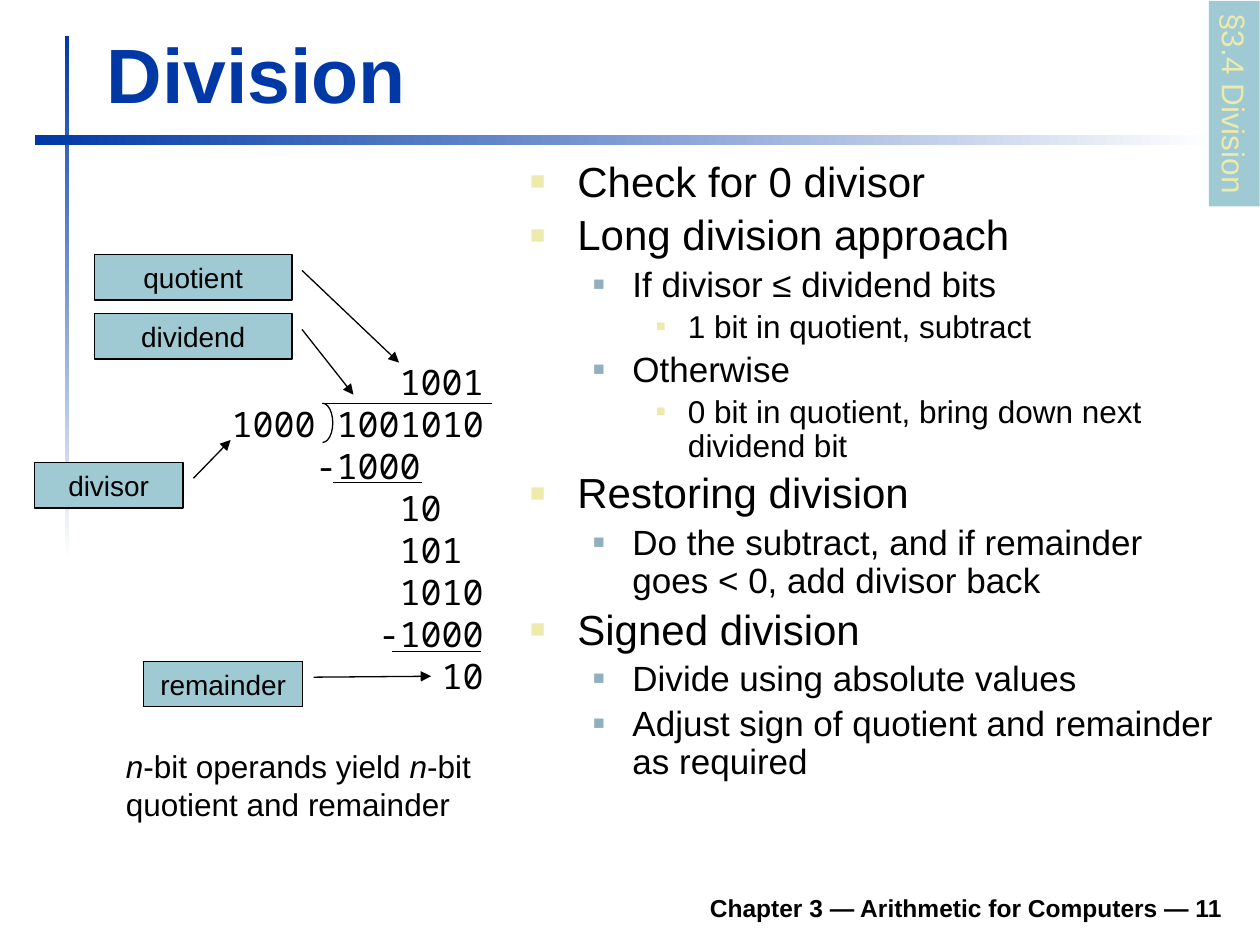
from lxml import etree
from pptx import Presentation
from pptx.dml.color import RGBColor
from pptx.enum.shapes import MSO_CONNECTOR, MSO_SHAPE
from pptx.enum.text import MSO_ANCHOR, MSO_AUTO_SIZE, PP_ALIGN
from pptx.oxml.ns import qn
from pptx.util import Cm, Pt

RECT, ARC, CALLOUT = MSO_SHAPE.RECTANGLE, MSO_SHAPE.ARC, MSO_SHAPE.LINE_CALLOUT_1
STRAIGHT = MSO_CONNECTOR.STRAIGHT
TOP, BOTTOM = MSO_ANCHOR.TOP, MSO_ANCHOR.BOTTOM
LEFT, CENTER, RIGHT = PP_ALIGN.LEFT, PP_ALIGN.CENTER, PP_ALIGN.RIGHT
GROW = MSO_AUTO_SIZE.SHAPE_TO_FIT_TEXT

COLORS = {"blue": "0039A6", "white": "FFFFFF", "black": "000000",
          "teal": "9FCAD3", "cream": "ECEAAC", "steel": "91AFBF"}

# Per outline level: text size, left margin, hanging indent, bullet colour, bullet %
LEVELS = [(24, 0.95, 0.95, "cream", 60),
          (20, 2.06, 0.79, "steel", 55),
          (18, 3.18, 0.64, "cream", 50)]

OUTLINE = [
    (0, "Check for 0 divisor"),
    (0, "Long division approach"),
    (1, "If divisor ≤ dividend bits"),
    (2, "1 bit in quotient, subtract"),
    (1, "Otherwise"),
    (2, "0 bit in quotient, bring down next dividend bit"),
    (0, "Restoring division"),
    (1, "Do the subtract, and if remainder goes < 0, add divisor back"),
    (0, "Signed division"),
    (1, "Divide using absolute values"),
    (1, "Adjust sign of quotient and remainder as required"),
]

# Column of the first digit, then the digits
LONG_DIVISION = [(8, "1001"), (0, "1000 1001010"), (4, "-1000"), (8, "10"),
                 (8, "101"), (8, "1010"), (7, "-1000"), (10, "10")]
DIGIT_SIZE = 20
DIGIT_WIDTH = Pt(0.6 * DIGIT_SIZE)

# Text, left, top, width, pointer (start y, start x, end y, end x as box fractions)
CALLOUTS = [
    ("quotient", 1.9, 5.13, 3.99, (0.35, 1.05, 2.37, 1.54)),
    ("dividend", 1.9, 6.32, 3.99, (0.35, 1.05, 1.78, 1.31)),
    ("remainder", 2.9, 13.33, 3.2, (0.35, 1.07, 0.33, 1.81)),
    ("divisor", 0.69, 9.32, 3, (0.35, 1.07, -0.49, 1.32)),
]

# Left, right, height on the slide
RULES = [(6.5, 9.91, 8.13), (6.71, 8.51, 9.73), (7.9, 9.7, 13.13)]


def rgb(name):
    return RGBColor.from_string(COLORS[name])


class SlideBuilder:
    font = "Arial"
    line_width = Pt(0.75)

    def __init__(self, slide):
        self.shapes = slide.shapes

    def shape(self, kind, box, fill=None):
        shape = self.shapes.add_shape(kind, *map(Cm, box))
        shape.shadow.inherit = False
        if fill:
            shape.fill.solid()
            shape.fill.fore_color.rgb = rgb(fill)
        else:
            shape.fill.background()
        shape.line.fill.background()
        return shape

    def outline(self, item):
        item.line.color.rgb = rgb("black")
        item.line.width = self.line_width

    def fading_bar(self, box, angle):
        fill = self.shape(RECT, box).fill
        fill.gradient()
        fill.gradient_angle = angle
        for stop, color in zip(fill.gradient_stops, ("blue", "white")):
            stop.color.rgb = rgb(color)

    def rule(self, left, right, y):
        line = self.shapes.add_connector(STRAIGHT, Cm(left), Cm(y), Cm(right), Cm(y))
        self.outline(line)
        etree.SubElement(line._element.spPr, qn("a:effectLst"))

    def division_bracket(self, box):
        """Right half of an ellipse, from its top to its bottom."""
        bracket = self.shape(ARC, box)
        bracket.adjustments[0], bracket.adjustments[1] = 162, 54
        self.outline(bracket)

    def callout(self, text, left, top, width, pointer):
        box = self.shape(CALLOUT, (left, top, width, 0.92), "teal")
        for index, fraction in enumerate(pointer):
            box.adjustments[index] = fraction
        self.outline(box)
        etree.SubElement(box.line._get_or_add_ln(), qn("a:tailEnd"), type="triangle")
        box.text_frame.vertical_anchor = TOP
        self.run(self.paragraph(box.text_frame, CENTER), text, 16)

    def frame(self, box, anchor=TOP, wrap=True):
        frame = self.shapes.add_textbox(*map(Cm, box)).text_frame
        frame.word_wrap = wrap
        frame.vertical_anchor = anchor
        if not wrap:
            frame.auto_size = GROW
        return frame

    def paragraph(self, frame, align=LEFT):
        first = frame.paragraphs[0]
        paragraph = frame.add_paragraph() if first.runs else first
        paragraph.alignment = align
        return paragraph

    def run(self, paragraph, text, size, color="black", bold=False, italic=False, font=None):
        run = paragraph.add_run()
        run.text = text
        run.font.name = font or self.font
        run.font.size = Pt(size)
        run.font.bold, run.font.italic = bold, italic
        run.font.color.rgb = rgb(color)

    def bullet(self, frame, level, text):
        size, margin, hanging, color, percent = LEVELS[level]
        paragraph = self.paragraph(frame)
        paragraph.level = level
        paragraph.line_spacing = 0.9
        paragraph.space_before = Pt(0.2 * size)
        props = paragraph._p.get_or_add_pPr()
        props.set("marL", str(Cm(margin)))
        props.set("indent", str(-Cm(hanging)))
        bullet_color = etree.SubElement(props, qn("a:buClr"))
        etree.SubElement(bullet_color, qn("a:srgbClr"), val=COLORS[color])
        etree.SubElement(props, qn("a:buSzPct"), val=str(percent * 1000))
        etree.SubElement(props, qn("a:buFont"), typeface=self.font)
        etree.SubElement(props, qn("a:buChar"), char="■")
        self.run(paragraph, text, size)

    def digits(self, frame, column, text):
        paragraph = self.paragraph(frame)
        paragraph._p.get_or_add_pPr().set("marL", str(column * DIGIT_WIDTH))
        self.run(paragraph, text, DIGIT_SIZE, font="Noto Sans Mono")


def main():
    deck = Presentation()
    deck.slide_width, deck.slide_height = Cm(25.4), Cm(19.05)
    page = SlideBuilder(deck.slides.add_slide(deck.slide_layouts[6]))

    page.fading_bar((1.31, 0.72, 0.09, 10.58), 270)
    page.fading_bar((0.7, 2.72, 23.8, 0.2), 0)

    footer = page.frame((4.7, 17.73, 20.19, 0.99), BOTTOM)
    page.run(page.paragraph(footer, RIGHT), "Chapter 3 — Arithmetic for Computers — 11", 14, bold=True)
    title = page.frame((1.9, 0.41, 22.94, 2.11), BOTTOM)
    page.run(page.paragraph(title), "Division", 44, "blue", bold=True)

    outline = page.frame((10.44, 3.12, 14.45, 14.2))
    for level, text in OUTLINE:
        page.bullet(outline, level, text)

    working = page.frame((4.42, 7.14, 5.59, 7.04), wrap=False)
    for column, text in LONG_DIVISION:
        page.digits(working, column, text)
    for left, right, y in RULES:
        page.rule(left, right, y)
    page.division_bracket((6.3, 8.13, 0.41, 0.79))

    note = page.paragraph(page.frame((2.29, 14.94, 7.47, 1.78), wrap=False))
    for text in ("n", "-bit operands yield ", "n", "-bit"):
        page.run(note, text, 18, italic=text == "n")
    note.add_line_break()
    page.run(note, "quotient and remainder", 18)

    for callout in CALLOUTS:
        page.callout(*callout)

    section = page.shape(RECT, (22.81, 1.58, 4.14, 1.02), "teal")
    section.rotation = 90
    section.text_frame.word_wrap = False
    section.text_frame.vertical_anchor = TOP
    page.run(page.paragraph(section.text_frame), "§3.4 Division", 18, "cream")

    deck.save("out.pptx")


if __name__ == "__main__":
    main()
